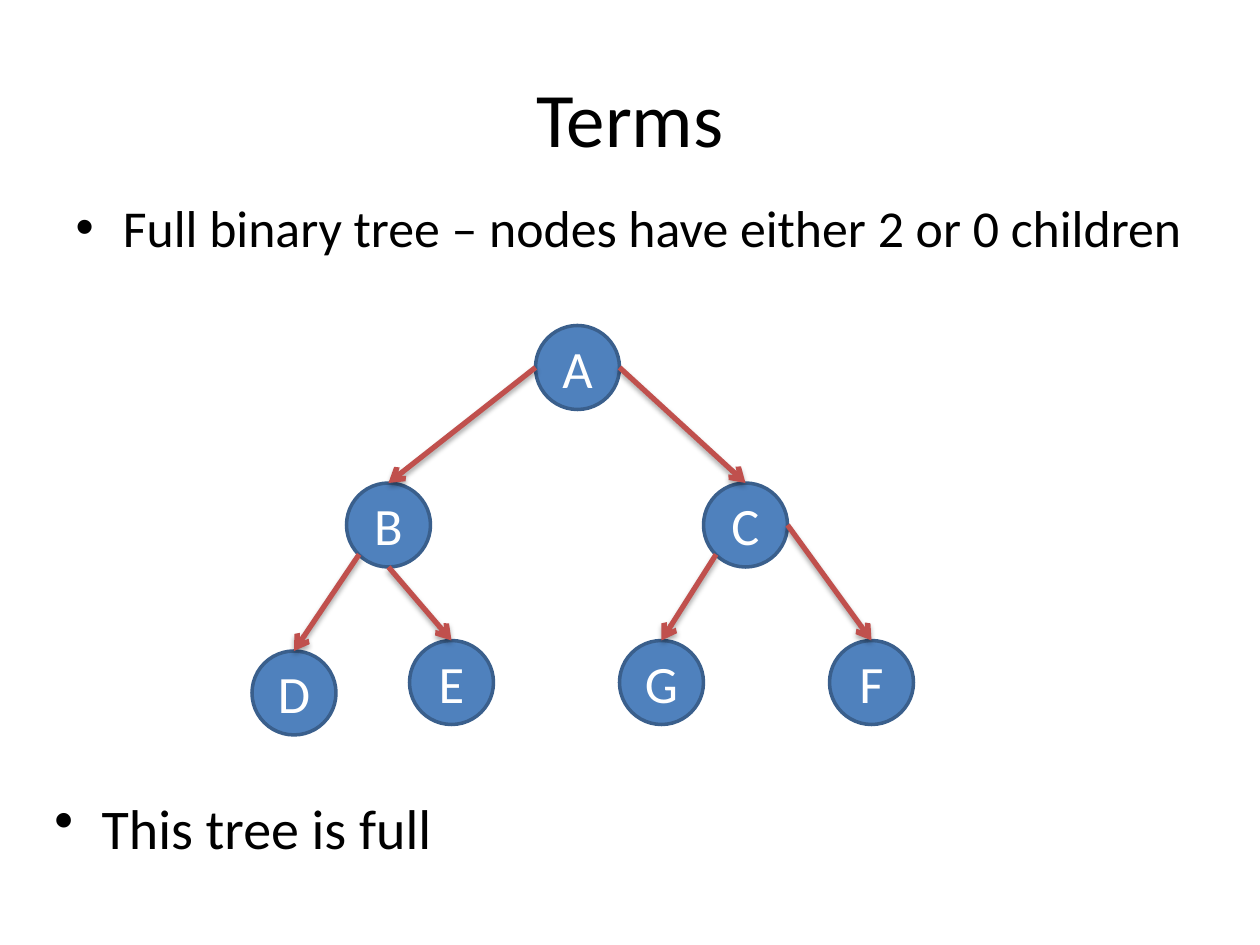
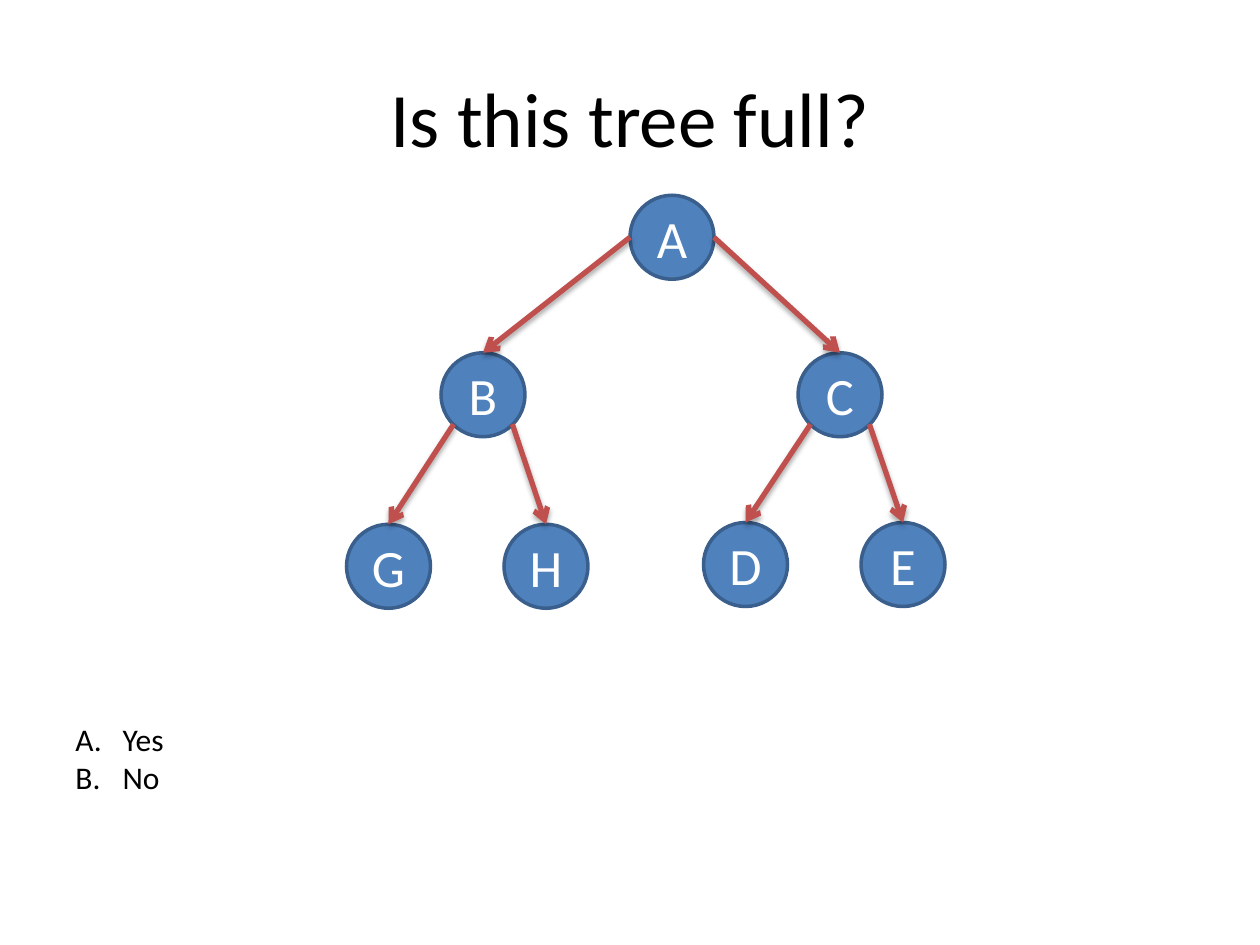
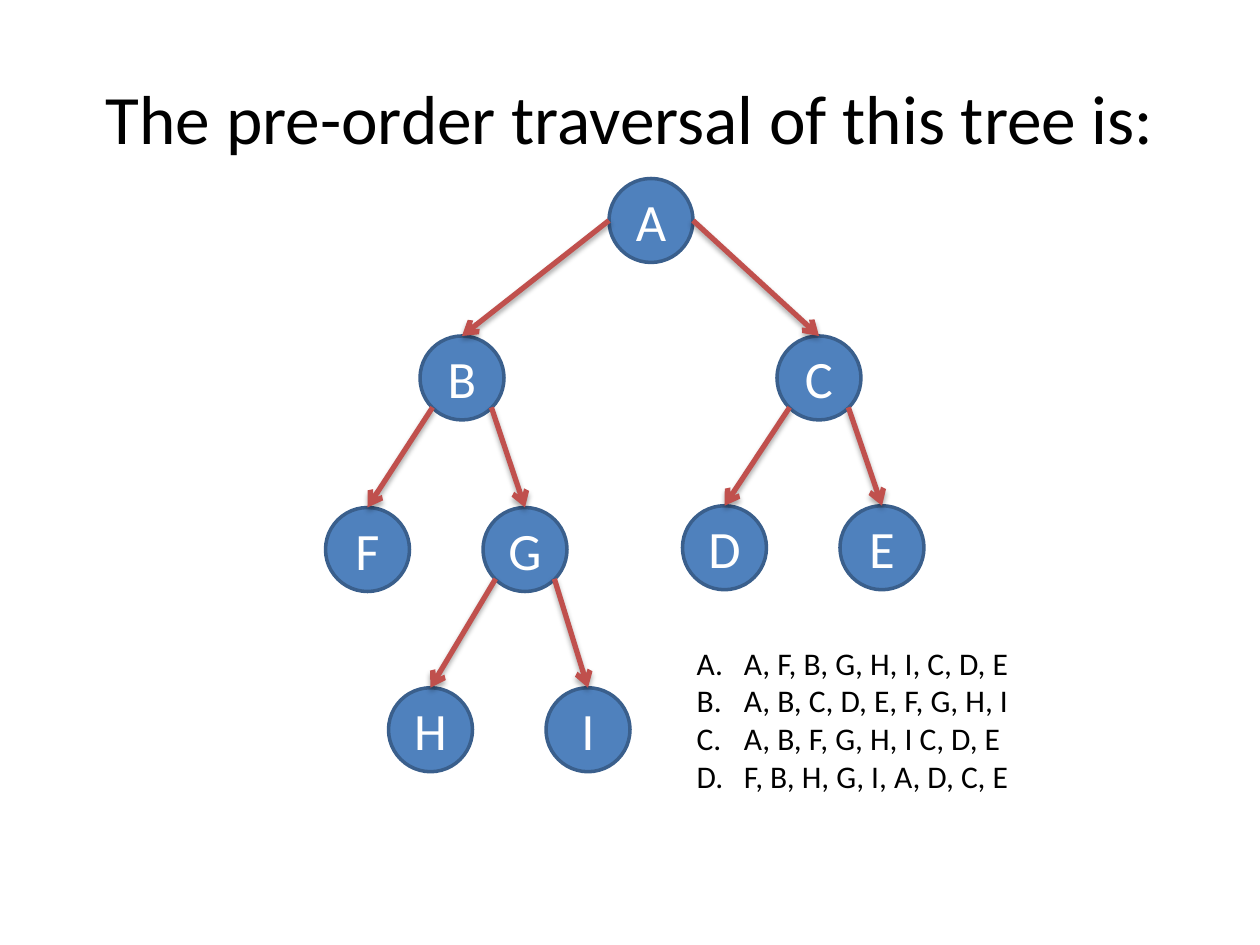
from dataclasses import dataclass

from lxml.etree import SubElement as add_child
from pptx import Presentation
from pptx.dml.color import RGBColor as Color
from pptx.enum.shapes import MSO_CONNECTOR as Connector, MSO_SHAPE as Shape
from pptx.enum.text import MSO_ANCHOR as Anchor, MSO_AUTO_SIZE as AutoSize, PP_ALIGN as Align
from pptx.oxml.ns import qn
from pptx.util import Pt


@dataclass(frozen=True)
class Theme:
    """Colours, font and sizes shared by all slides."""
    font: str = "Calibri"
    ink: Color = Color(0x00, 0x00, 0x00)
    paper: Color = Color(0xFF, 0xFF, 0xFF)
    node_fill: Color = Color(0x4F, 0x81, 0xBD)
    node_line: Color = Color(0x3A, 0x5F, 0x8C)
    arrow: Color = Color(0xC0, 0x50, 0x4D)
    title: float = 44
    long_title: float = 39.6
    definition: float = 29.6
    remark: float = 32
    node: float = 30
    answer: float = 18
    diameter: float = 48
    hanging: float = 27


THEME = Theme()
TITLE_ONLY, TITLE_AND_BODY = 5, 1
DOT = ("a:buChar", {"char": "•"})
LETTERS = ("a:buAutoNum", {"type": "alphaUcPeriod"})

EXITS = {
    "left": (0, 0.5),
    "right": (1, 0.5),
    "bottom": (0.5, 1),
    "lower left": (0.15, 0.85),
    "lower right": (0.85, 0.85),
}

TOP_NODES = {"A": (0, 0), "B": (-108, 90), "C": (96, 90)}
TOP_EDGES = [("A", "B", "left"), ("A", "C", "right")]

TERMS_NODES = TOP_NODES | {"D": (-162, 186), "E": (-72, 180), "G": (48, 180), "F": (168, 180)}
TERMS_EDGES = TOP_EDGES + [
    ("B", "D", "lower left"),
    ("B", "E", "bottom"),
    ("C", "G", "lower left"),
    ("C", "F", "right"),
]


def place(shape, left, top, width, height):
    """Move and size a shape in points."""
    shape.left, shape.top = Pt(left), Pt(top)
    shape.width, shape.height = Pt(width), Pt(height)


def style(para, size, color):
    """Format every run of a paragraph."""
    for span in para.runs:
        span.font.name = THEME.font
        span.font.size = Pt(size)
        span.font.color.rgb = color


def fill_list(frame, lines, size, bullet, space_before=0):
    """Write lines as a hanging list with the given bullet."""
    frame.text = "\n".join(lines)
    tag, attributes = bullet
    for para in frame.paragraphs:
        style(para, size, THEME.ink)
        para.space_before = Pt(space_before)
        properties = para._p.get_or_add_pPr()
        properties.set("marL", str(Pt(THEME.hanging)))
        properties.set("indent", str(-Pt(THEME.hanging)))
        add_child(properties, qn(tag), attributes)


def add_page(deck, layout, title, size=THEME.title):
    """Add a slide with a centred title."""
    page = deck.slides.add_slide(deck.slide_layouts[layout])
    box = page.shapes.title
    place(box, 36, 21.6, 648, 90)
    frame = box.text_frame
    frame.text = title
    frame.auto_size = AutoSize.NONE
    frame.vertical_anchor = Anchor.MIDDLE
    para = frame.paragraphs[0]
    para.alignment = Align.CENTER
    style(para, size, THEME.ink)
    return page


def add_definition(page, text):
    """Fill the body placeholder with a bulleted definition."""
    box = page.placeholders[1]
    place(box, 36, 108, 654, 66)
    box.text_frame.auto_size = AutoSize.NONE
    fill_list(box.text_frame, [text], THEME.definition, DOT, 0.2 * THEME.definition)


def add_remark(page, text):
    """Add a bulleted remark below the tree."""
    box = page.shapes.add_textbox(Pt(24), Pt(450), Pt(654), Pt(66))
    box.text_frame.word_wrap = True
    fill_list(box.text_frame, [text], THEME.remark, DOT, 0.2 * THEME.remark)


def add_answers(page, left, top, width, lines):
    """Add a lettered list of answers."""
    height = 7.2 + 21.8 * len(lines)
    box = page.shapes.add_textbox(Pt(left), Pt(top), Pt(width), Pt(height))
    box.text_frame.word_wrap = False
    box.text_frame.auto_size = AutoSize.SHAPE_TO_FIT_TEXT
    fill_list(box.text_frame, lines, THEME.answer, LETTERS)


def add_node(page, label, left, top):
    """Add a labelled circle."""
    diameter = Pt(THEME.diameter)
    node = page.shapes.add_shape(Shape.OVAL, Pt(left), Pt(top), diameter, diameter)
    node.shadow.inherit = False
    node.fill.solid()
    node.fill.fore_color.rgb = THEME.node_fill
    node.line.color.rgb = THEME.node_line
    node.line.width = Pt(2)
    frame = node.text_frame
    frame.text = label
    frame.vertical_anchor = Anchor.MIDDLE
    para = frame.paragraphs[0]
    para.alignment = Align.CENTER
    style(para, THEME.node, THEME.paper)
    return node


def add_arrow(page, parent, child, exit_name):
    """Draw a shadowed arrow from a parent's exit to the top of its child."""
    across, down = EXITS[exit_name]
    start_x = parent.left + int(across * parent.width)
    start_y = parent.top + int(down * parent.height)
    arrow = page.shapes.add_connector(
        Connector.STRAIGHT, start_x, start_y, child.left + child.width // 2, child.top
    )
    arrow.end_connect(child, 0)
    arrow.line.color.rgb = THEME.arrow
    arrow.line.width = Pt(3)
    add_child(arrow.line._get_or_add_ln(), qn("a:tailEnd"), {"type": "arrow"})
    effects = add_child(arrow._element.spPr, qn("a:effectLst"))
    shadow = add_child(effects, qn("a:outerShdw"), {
        "blurRad": str(Pt(3.1)), "dist": str(Pt(1.8)), "dir": "5400000", "rotWithShape": "0",
    })
    black = add_child(shadow, qn("a:srgbClr"), {"val": "000000"})
    add_child(black, qn("a:alpha"), {"val": "35000"})


def add_tree(page, root_left, root_top, nodes, edges):
    """Draw a tree whose node offsets are counted from its root."""
    circles = {
        label: add_node(page, label, root_left + across, root_top + down)
        for label, (across, down) in nodes.items()
    }
    for parent, child, exit_name in edges:
        add_arrow(page, circles[parent], circles[child], exit_name)


def with_children(nodes, edges, parent, children, drop):
    """Return the tree with two more nodes hung under a parent."""
    across, down = nodes[parent]
    left, right = children
    more_nodes = {left: (across - 54, down + drop), right: (across + 36, down + drop)}
    more_edges = [(parent, left, "lower left"), (parent, right, "lower right")]
    return nodes | more_nodes, edges + more_edges


def main():
    """Build the three slides and save the deck."""
    deck = Presentation()
    deck.slide_width, deck.slide_height = Pt(720), Pt(540)

    page = add_page(deck, TITLE_AND_BODY, "Terms")
    add_definition(page, "Full binary tree – nodes have either 2 or 0 children")
    add_tree(page, 306, 186, TERMS_NODES, TERMS_EDGES)
    add_remark(page, "This tree is full")

    right_half = with_children(TOP_NODES, TOP_EDGES, "C", "DE", 97)

    page = add_page(deck, TITLE_ONLY, "Is this tree full?")
    add_tree(page, 360, 111.6, *with_children(*right_half, "B", "GH", 98))
    add_answers(page, 36, 408, 65.5, ["Yes", "No"])

    page = add_page(
        deck, TITLE_ONLY, "The pre-order traversal of this tree is:", THEME.long_title
    )
    three_levels = with_children(*right_half, "B", "FG", 98)
    add_tree(page, 348, 102, *with_children(*three_levels, "G", "HI", 103))
    add_answers(page, 391, 364.3, 195, [
        "A, F, B, G, H, I, C, D, E",
        "A, B, C, D, E, F, G, H, I",
        "A, B, F, G, H, I C, D, E",
        "F, B, H, G, I, A, D, C, E",
    ])

    deck.save("out.pptx")


if __name__ == "__main__":
    main()
